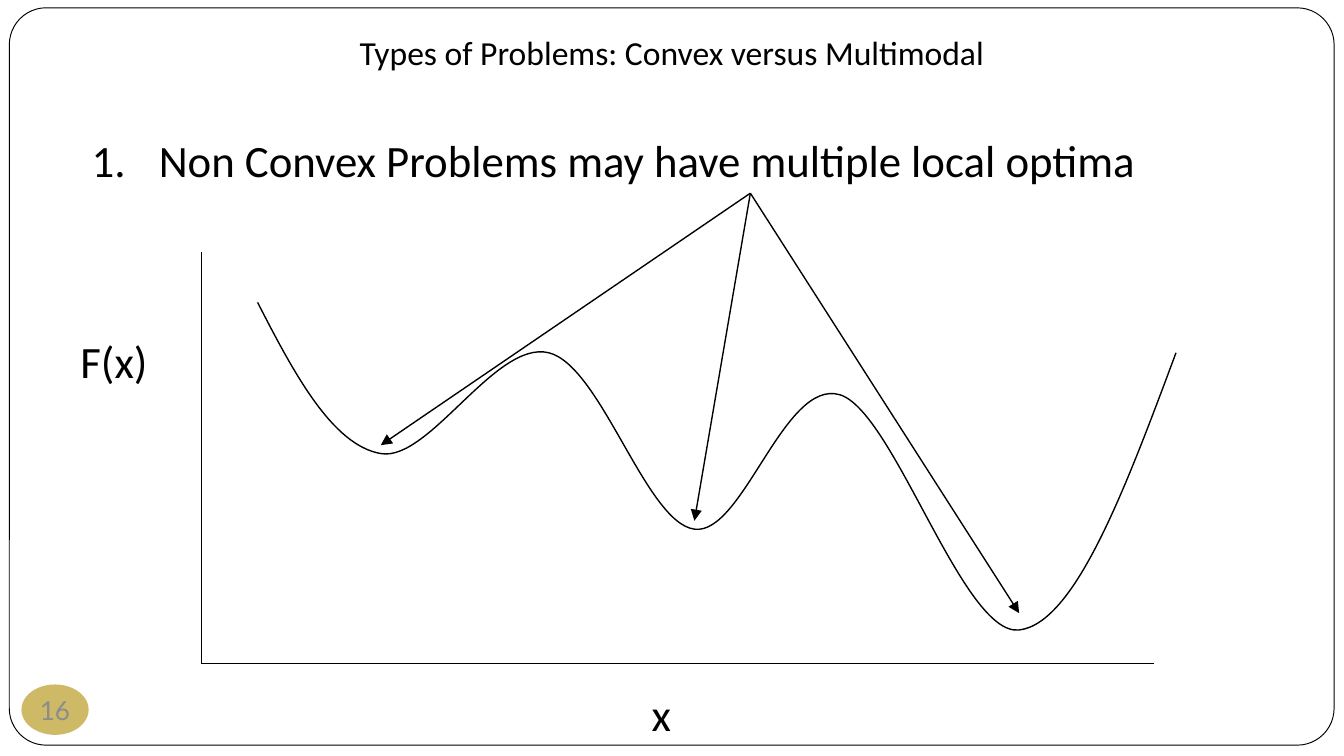
from dataclasses import dataclass

from lxml.etree import SubElement
from pptx import Presentation
from pptx.dml.color import RGBColor
from pptx.enum.shapes import MSO_CONNECTOR, MSO_SHAPE
from pptx.enum.text import MSO_ANCHOR, MSO_AUTO_SIZE, PP_ALIGN
from pptx.oxml.ns import qn
from pptx.util import Pt

BLACK = "000000"
WHITE = "FFFFFF"
GOLD = "CEB966"
GRAY = "8C8C8C"

Point = tuple[float, float]


@dataclass(frozen=True)
class Label:
    text: str
    left: float
    top: float
    width: float
    height: float
    size: float = 24
    align: PP_ALIGN = PP_ALIGN.LEFT
    numbered: bool = False


@dataclass(frozen=True)
class Segment:
    start: Point
    end: Point
    arrow: bool = False


@dataclass(frozen=True)
class Bend:
    first_control: Point
    second_control: Point
    end: Point


HEADINGS = [
    Label("Types of Problems: Convex versus Multimodal", 30, 13.5, 660, 29,
          size=18, align=PP_ALIGN.CENTER),
    Label("Non Convex Problems may have multiple local optima", 42, 67.5, 642, 36,
          numbered=True),
]
AXIS_LABELS = [
    Label("x", 342, 364.5, 216, 36),
    Label("F(x)", 36, 175.5, 60, 36),
]

ORIGIN = (108, 355.5)
AXES = [Segment((108, 135), ORIGIN), Segment(ORIGIN, (618, 355.5))]

CALLOUT = (402, 103.5)
OPTIMA = [(204, 238.5), (372, 279), (546, 328.5)]
ARROWS = [Segment(CALLOUT, optimum, arrow=True) for optimum in OPTIMA]

CURVE_START = (138, 162)
CURVE = [
    Bend((157.5, 200), (178, 238.5), (204, 243)),
    Bend((230, 247.5), (265.5, 182), (294, 189)),
    Bend((322, 196), (346, 280), (372, 283.5)),
    Bend((398, 287), (420, 202.5), (450, 211.5)),
    Bend((479, 220.5), (516, 341), (546, 337.5)),
    Bend((576, 334), (603, 261.5), (630, 189)),
]


def color(value: str) -> RGBColor:
    return RGBColor.from_string(value)


def style_line(line, width: float = 0.75) -> None:
    line.color.rgb = color(BLACK)
    line.width = Pt(width)


def write(para, text: str, *, size: float, font: str = "Calibri",
          fill: str = BLACK, align: PP_ALIGN = PP_ALIGN.LEFT) -> None:
    para.alignment = align
    span = para.add_run()
    span.text = text
    span.font.size = Pt(size)
    span.font.name = font
    span.font.color.rgb = color(fill)


def number_paragraph(para) -> None:
    properties = para._p.get_or_add_pPr()
    properties.set("marL", str(Pt(36)))
    properties.set("indent", str(Pt(-36)))
    SubElement(properties, qn("a:buFont"), typeface="+mj-lt")
    SubElement(properties, qn("a:buAutoNum"), type="arabicPeriod")


def draw_label(page, label: Label) -> None:
    box = page.shapes.add_textbox(
        Pt(label.left), Pt(label.top), Pt(label.width), Pt(label.height))
    frame = box.text_frame
    frame.word_wrap = True
    frame.auto_size = MSO_AUTO_SIZE.SHAPE_TO_FIT_TEXT
    para = frame.paragraphs[0]
    if label.numbered:
        number_paragraph(para)
    write(para, label.text, size=label.size, align=label.align)


def draw_segment(page, segment: Segment) -> None:
    connector = page.shapes.add_connector(
        MSO_CONNECTOR.STRAIGHT,
        *(Pt(value) for value in (*segment.start, *segment.end)))
    style_line(connector.line)
    if segment.arrow:
        SubElement(connector.line._get_or_add_ln(), qn("a:tailEnd"), type="triangle")
    SubElement(connector._element.spPr, qn("a:effectLst"))


def round_bends(curve) -> None:
    corners = list(curve._element.iter(qn("a:lnTo")))
    outline = corners[0].getparent()
    for index in range(0, len(corners), 3):
        bezier = SubElement(outline, qn("a:cubicBezTo"))
        for corner in corners[index:index + 3]:
            bezier.append(corner[0])
            outline.remove(corner)


def draw_curve(page, start: Point, bends: list[Bend]) -> None:
    builder = page.shapes.build_freeform(Pt(start[0]), Pt(start[1]))
    points = [point for bend in bends
              for point in (bend.first_control, bend.second_control, bend.end)]
    builder.add_line_segments([(Pt(x), Pt(y)) for x, y in points], close=False)
    curve = builder.convert_to_shape()
    round_bends(curve)
    curve.shadow.inherit = False
    curve.fill.background()
    style_line(curve.line)


def add_filled_shape(page, kind: MSO_SHAPE, left: float, top: float,
                     width: float, height: float, fill: str):
    shape = page.shapes.add_shape(kind, Pt(left), Pt(top), Pt(width), Pt(height))
    shape.shadow.inherit = False
    shape.fill.solid()
    shape.fill.fore_color.rgb = color(fill)
    return shape


def draw_border(page) -> None:
    border = add_filled_shape(page, MSO_SHAPE.ROUNDED_RECTANGLE, 5, 4.2, 709.7, 395, WHITE)
    border.adjustments[0] = 0.05
    style_line(border.line, 0.5)


def draw_page_number(page, number: str) -> None:
    badge = add_filled_shape(page, MSO_SHAPE.OVAL, 11.5, 366.7, 36, 27, GOLD)
    badge.line.fill.background()
    frame = badge.text_frame
    frame.margin_left = frame.margin_right = frame.margin_top = frame.margin_bottom = Pt(0)
    frame.word_wrap = False
    frame.vertical_anchor = MSO_ANCHOR.MIDDLE
    write(frame.paragraphs[0], number, size=14, font="Lato", fill=GRAY,
          align=PP_ALIGN.CENTER)


def main() -> None:
    deck = Presentation()
    deck.slide_width, deck.slide_height = Pt(720), Pt(405)
    page = deck.slides.add_slide(deck.slide_layouts[6])
    draw_border(page)
    for heading in HEADINGS:
        draw_label(page, heading)
    for axis in AXES:
        draw_segment(page, axis)
    draw_curve(page, CURVE_START, CURVE)
    for arrow in ARROWS:
        draw_segment(page, arrow)
    for label in AXIS_LABELS:
        draw_label(page, label)
    draw_page_number(page, "16")
    deck.save("out.pptx")


if __name__ == "__main__":
    main()
